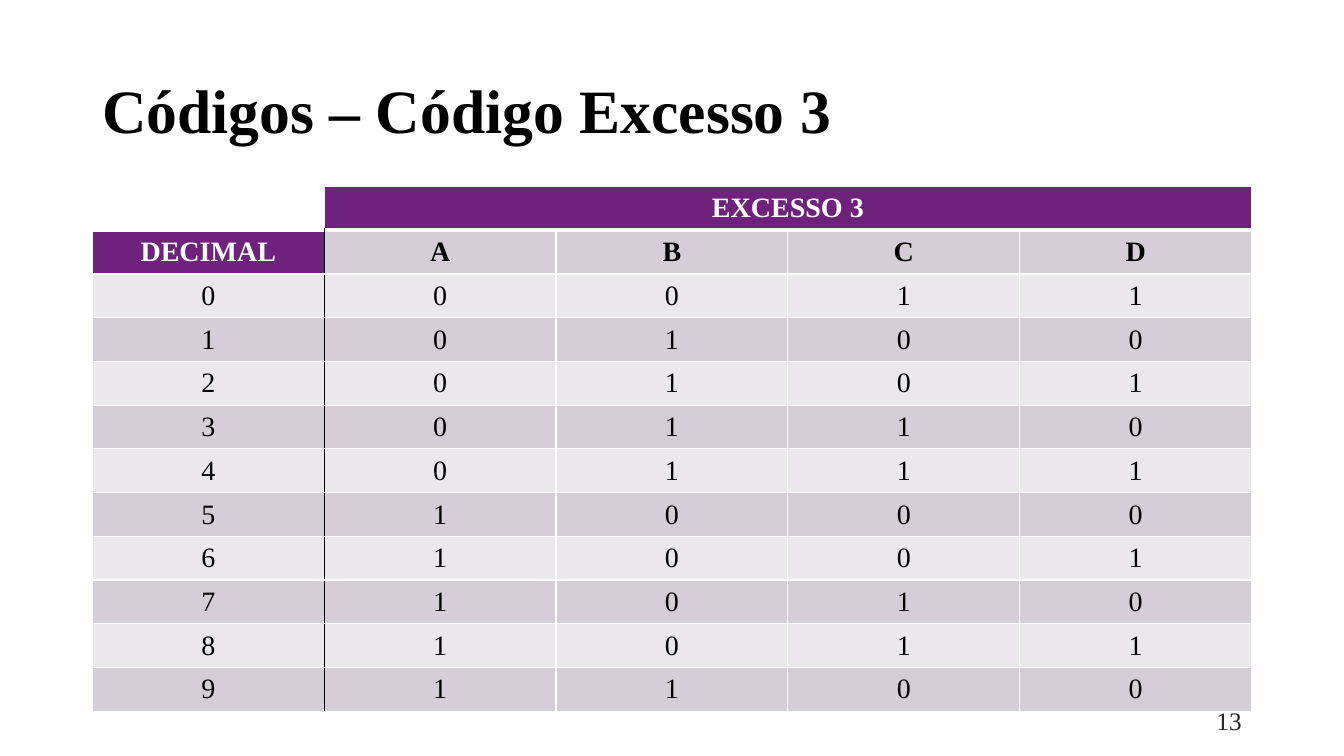
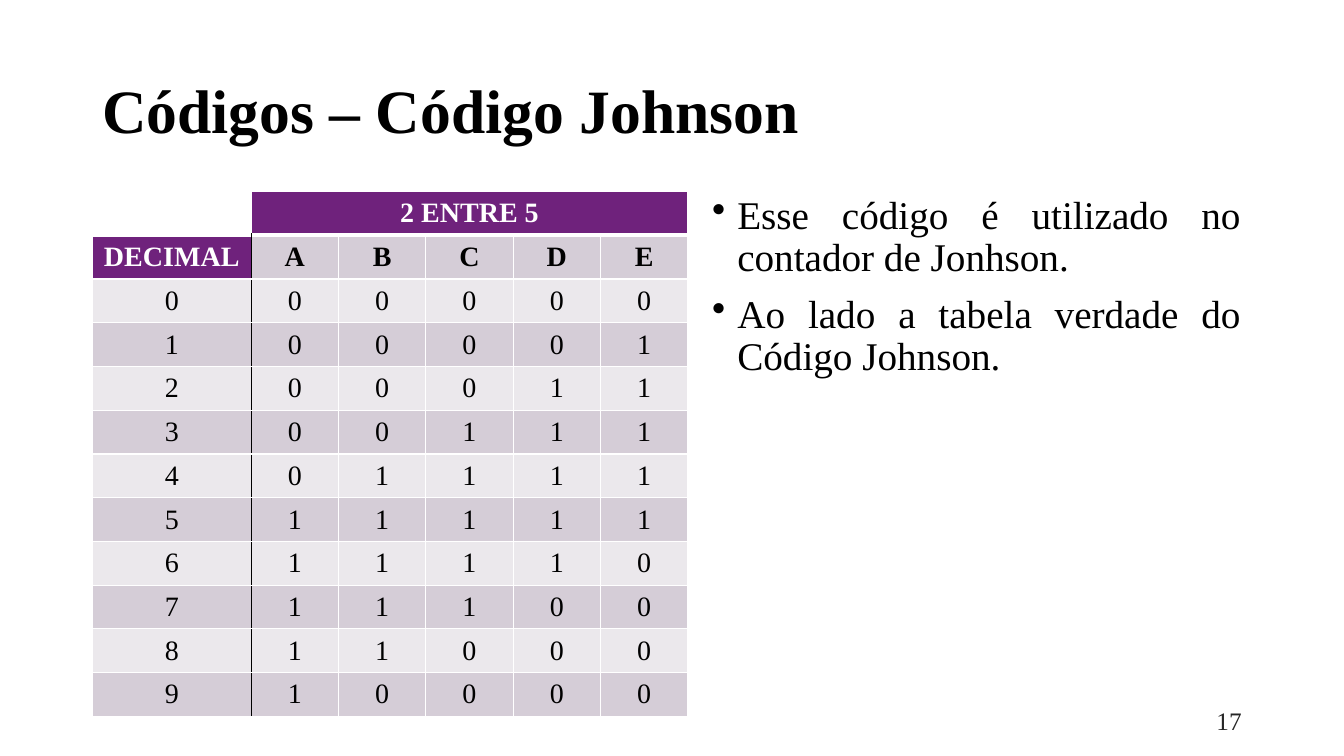
from lxml import etree
from pptx import Presentation
from pptx.dml.color import RGBColor
from pptx.enum import text
from pptx.oxml import ns
from pptx.util import Emu, Pt

FONT = "Times New Roman"
BLACK, WHITE, GREY = "000000", "FFFFFF", "262626"
PURPLE, DARK, LIGHT = "6F227C", "D5CDD7", "EBE8EC"
TITLE = (110, 48, 1380, 174)
NUMBER = (1130, 834, 360, 48)
ROW = 49


def px(n):
    return Emu(n * 7620)


def rgb(code):
    return RGBColor.from_string(code)


def sub(parent, tag, **attrs):
    return etree.SubElement(parent, ns.qn(tag), attrs)


def style(para, size, color, bold=False, align=text.PP_ALIGN.LEFT):
    para.alignment = align
    font = para.font
    font.name, font.size, font.bold = FONT, Pt(size), bold
    font.color.rgb = rgb(color)


def add_text(slide, box, lines, anchor=text.MSO_ANCHOR.MIDDLE, **look):
    """Place one paragraph per line and return the paragraphs."""
    frame = slide.shapes.add_textbox(*map(px, box)).text_frame
    frame.word_wrap = True
    frame.vertical_anchor = anchor
    frame.text = "\n".join(lines)
    for para in frame.paragraphs:
        style(para, **look)
    return frame.paragraphs


def add_bullets(slide, box, lines):
    paras = add_text(slide, box, lines, text.MSO_ANCHOR.TOP, size=28,
                     color=BLACK, align=text.PP_ALIGN.JUSTIFY)
    for para in paras:
        para.line_spacing = 0.9
        para.space_before = Pt(10)
        props = para._p.get_or_add_pPr()
        props.set("marL", str(px(30)))
        props.set("indent", str(-px(30)))
        mark = etree.Element(ns.qn("a:buChar"), char="•")
        props.find(ns.qn("a:defRPr")).addprevious(mark)


def edge(cell, side, color, width):
    line = sub(cell._tc.get_or_add_tcPr(), "a:ln" + side, w=str(Pt(width)))
    sub(sub(line, "a:solidFill"), "a:srgbClr", val=color)


def paint(cell, row, col):
    """Give a cell its borders, fill and font by its place in the grid."""
    for side in "LRTB":
        split = row > 0 and (col, side) in ((0, "R"), (1, "L"))
        thick = row == 0 and side == "B"
        edge(cell, side, BLACK if split else WHITE, 3 if thick else 1)
    head = row == 0 or (row, col) == (1, 0)
    if row == col == 0:
        cell.fill.background()
    else:
        cell.fill.solid()
        shade = DARK if row % 2 else LIGHT
        cell.fill.fore_color.rgb = rgb(PURPLE if head else shade)
    cell.vertical_anchor = text.MSO_ANCHOR.MIDDLE
    style(cell.text_frame.paragraphs[0], 20, WHITE if head else BLACK,
          row < 2, text.PP_ALIGN.CENTER)


def add_codes(slide, left, top, first, width, name, codes):
    """Draw a code table: a first column of digits, then one column a bit."""
    bits = len(codes[0])
    rows = [["", name], ["DECIMAL", *"ABCDE"[:bits]]]
    rows += [[str(n), *code] for n, code in enumerate(codes)]
    box = (left, top, first + bits * width, len(rows) * ROW)
    table = slide.shapes.add_table(len(rows), bits + 1, *map(px, box)).table
    table.first_row = table.horz_banding = False
    for col, column in enumerate(table.columns):
        column.width = px(width if col else first)
    for r, words in enumerate(rows):
        table.rows[r].height = px(ROW)
        for c, word in enumerate(words):
            table.cell(r, c).text = word
        for c in range(bits + 1):
            paint(table.cell(r, c), r, c)
    table.cell(0, 1).merge(table.cell(0, bits))


def add_page(deck, title, number):
    slide = deck.slides.add_slide(deck.slide_layouts[6])
    head = add_text(slide, TITLE, [title], size=44, color=BLACK, bold=True)
    head[0].line_spacing = 0.9
    add_text(slide, NUMBER, [str(number)], size=18, color=GREY,
             align=text.PP_ALIGN.RIGHT)
    return slide


def main():
    deck = Presentation()
    deck.slide_width, deck.slide_height = px(1600), px(900)

    slide = add_page(deck, "Códigos – Código Excesso 3", 13)
    excess = [format(n + 3, "04b") for n in range(10)]
    add_codes(slide, 110, 222, 276, 276, "EXCESSO 3", excess)

    slide = add_page(deck, "Códigos – Código Johnson", 17)
    ring = "000001111100000"
    johnson = [ring[n:n + 5] for n in range(10)]
    add_bullets(slide, (836, 227, 653, 571), [
        "Esse código é utilizado no contador de Jonhson.",
        "Ao lado a tabela verdade do Código Johnson."])
    add_codes(slide, 110, 228, 189, 104, "2 ENTRE 5", johnson)

    deck.save("out.pptx")


if __name__ == "__main__":
    main()
